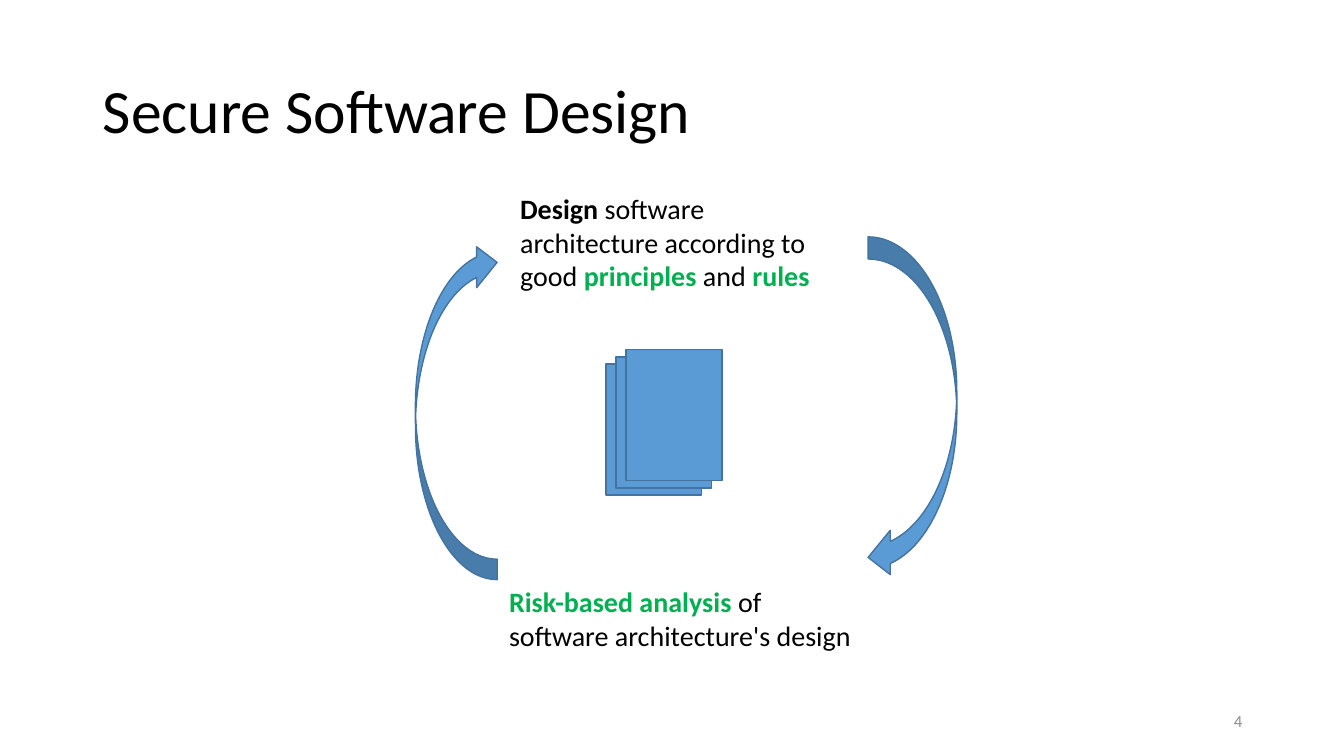
from pptx import Presentation
from pptx.dml.color import RGBColor
from pptx.enum.shapes import MSO_SHAPE as Preset
from pptx.enum.text import MSO_ANCHOR as Anchor, PP_ALIGN as Align
from pptx.util import Inches, Pt

FONT = "Calibri"
COLORS = {
    "text": "000000",
    "accent": "00B050",
    "number": "8C8C8C",
    "fill": "5B9BD5",
    "outline": "43739E",
}


def color(name):
    return RGBColor.from_string(COLORS[name])


def place(shape, box):
    shape.left, shape.top, shape.width, shape.height = map(Inches, box)


def add_run(paragraph, text, size, tone="text", bold=False):
    run = paragraph.add_run()
    run.text = text
    run.font.name = FONT
    run.font.size = Pt(size)
    run.font.bold = bold
    run.font.color.rgb = color(tone)


def add_title(slide, box, text):
    title = slide.shapes.title
    place(title, box)
    frame = title.text_frame
    frame.vertical_anchor = Anchor.MIDDLE
    heading = frame.paragraphs[0]
    heading.alignment = Align.LEFT
    heading.line_spacing = 0.9
    add_run(heading, text, 44)


def add_text(slide, box, lines, size=20, align=Align.LEFT, anchor=Anchor.TOP):
    """Each line is a list of (text, tone, bold) runs."""
    frame = slide.shapes.add_textbox(*map(Inches, box)).text_frame
    frame.word_wrap = True
    frame.vertical_anchor = anchor
    for index, line in enumerate(lines):
        paragraph = frame.add_paragraph() if index else frame.paragraphs[0]
        paragraph.alignment = align
        for text, tone, bold in line:
            add_run(paragraph, text, size, tone, bold)


def add_blue_shape(slide, preset, box):
    shape = slide.shapes.add_shape(preset, *map(Inches, box))
    shape.shadow.inherit = False
    shape.fill.solid()
    shape.fill.fore_color.rgb = color("fill")
    shape.line.color.rgb = color("outline")
    shape.line.width = Pt(1)
    return shape


def add_cycle_arrows(slide, down_box, up_box):
    add_blue_shape(slide, Preset.CURVED_LEFT_ARROW, down_box)
    # Half a turn plus a mirror puts the head at the top
    up_arrow = add_blue_shape(slide, Preset.CURVED_RIGHT_ARROW, up_box)
    up_arrow.rotation = 180
    up_arrow._element.spPr.xfrm.set("flipH", "1")


def add_document_stack(slide, box, sheets=3, shift_x=0.1, shift_y=0.07):
    left, top, width, height = box
    sheet_width = width - (sheets - 1) * shift_x
    sheet_height = height - (sheets - 1) * shift_y
    for index in range(sheets):
        sheet_top = top + (sheets - 1 - index) * shift_y
        add_blue_shape(slide, Preset.RECTANGLE,
                       (left + index * shift_x, sheet_top, sheet_width, sheet_height))


def build_design_cycle(presentation):
    slide = presentation.slides.add_slide(presentation.slide_layouts[5])
    add_title(slide, (0.92, 0.4, 11.5, 1.45), "Secure Software Design")

    # Page number
    add_text(slide, (9.42, 6.95, 3, 0.4), [[("4", "number", False)]],
             size=12, align=Align.RIGHT, anchor=Anchor.MIDDLE)

    # The two steps of the cycle
    add_text(slide, (5.06, 1.85, 3.32, 1.11), [
        [("Design", "text", True), (" software", "text", False)],
        [("architecture according to", "text", False)],
        [("good ", "text", False), ("principles", "accent", True),
         (" and ", "text", False), ("rules", "accent", True)],
    ])
    add_text(slide, (4.95, 5.75, 3.68, 0.77), [
        [("Risk-based analysis ", "accent", True), ("of", "text", False)],
        [("software architecture's design", "text", False)],
    ])

    # Arrows around the design documents
    add_cycle_arrows(slide, (8.61, 2.35, 0.88, 3.4), (4.12, 2.4, 0.81, 3.35))
    add_document_stack(slide, (6.01, 3.47, 1.15, 1.44))


def main():
    presentation = Presentation()
    presentation.slide_width = Inches(13.33)
    presentation.slide_height = Inches(7.5)
    build_design_cycle(presentation)
    presentation.save("out.pptx")


if __name__ == "__main__":
    main()
